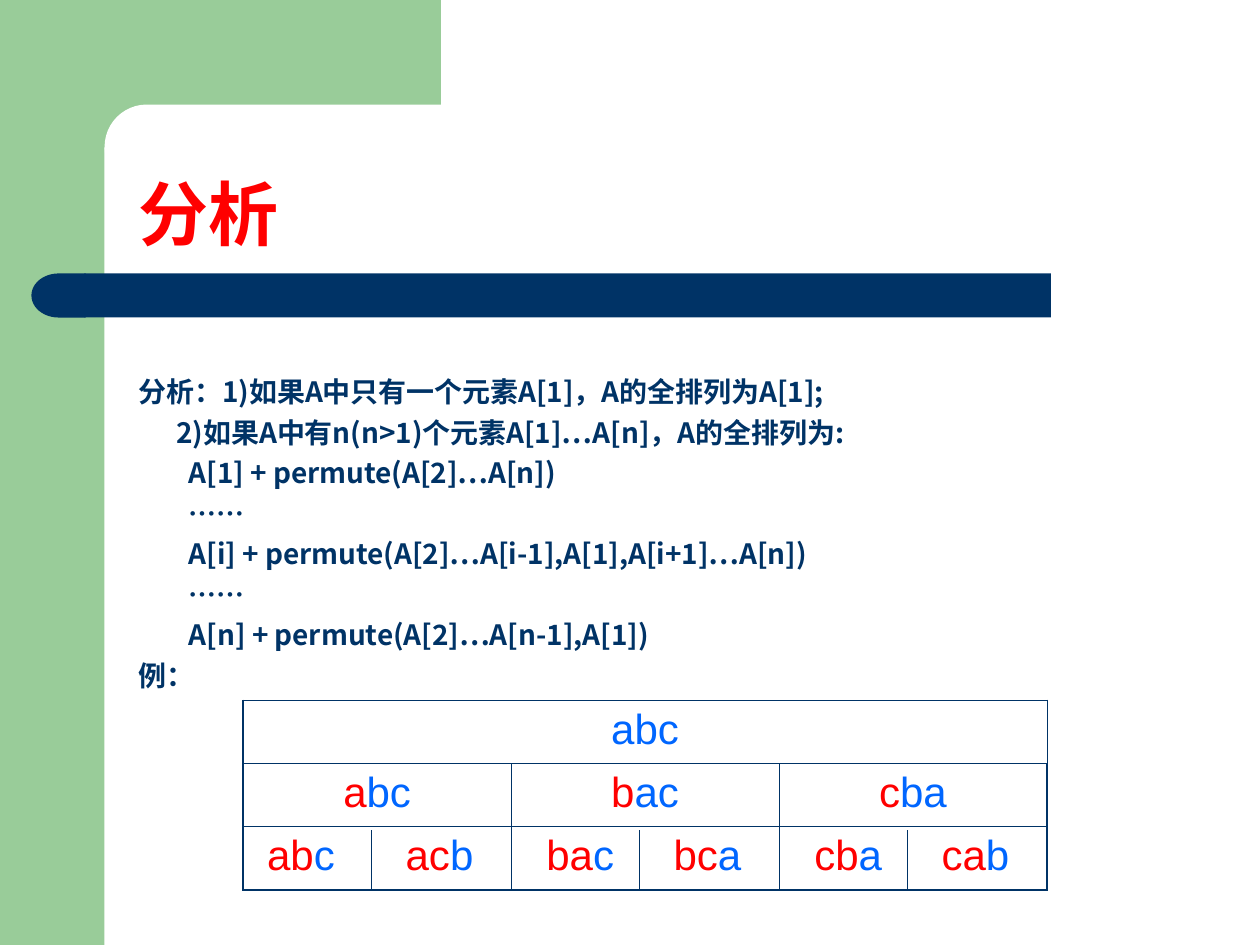
from lxml.etree import SubElement
from pptx import Presentation
from pptx.dml.color import RGBColor
from pptx.enum.shapes import MSO_CONNECTOR, MSO_SHAPE
from pptx.enum.text import MSO_ANCHOR, MSO_AUTO_SIZE, PP_ALIGN
from pptx.oxml.ns import qn
from pptx.util import Inches, Pt

COLORS = {"green": "99CC99", "white": "FFFFFF", "navy": "003366",
          "red": "FF0000", "blue": "0066FF"}
CJK_FONT = "Noto Sans CJK SC"

# Each line of the analysis with its left indent in inches
ANALYSIS = [
    ("分析：1)如果A中只有一个元素A[1]，A的全排列为A[1];", 0),
    ("2)如果A中有n(n>1)个元素A[1]…A[n]，A的全排列为:", 0.3),
    ("A[1] + permute(A[2]…A[n])", 0.4),
    ("……", 0.4),
    ("A[i] + permute(A[2]…A[i-1],A[1],A[i+1]…A[n])", 0.4),
    ("……", 0.4),
    ("A[n] + permute(A[2]…A[n-1],A[1])", 0.4),
    ("例：", 0),
]

# Each permutation is (fixed part, free part)
FIRST_CHOICE = [("a", "bc"), ("b", "ac"), ("c", "ba")]
SECOND_CHOICE = [
    [("ab", "c"), ("ac", "b")],
    [("ba", "c"), ("bc", "a")],
    [("cb", "a"), ("ca", "b")],
]
PAIR_OFFSETS = [0.19, 0.28, 0.28]
SECOND_OFFSET = 1.29


def color(name):
    return RGBColor.from_string(COLORS[name])


def add_block(page, kind, box, fill):
    block = page.shapes.add_shape(kind, *map(Inches, box))
    block.shadow.inherit = False
    block.fill.solid()
    block.fill.fore_color.rgb = color(fill)
    block.line.fill.background()
    return block


def style_span(span, size, font, tint, bold=False):
    span.font.size = Pt(size)
    span.font.name = font
    span.font.bold = bold
    span.font.color.rgb = color(tint)
    if font != "Arial":
        SubElement(span.font._element, qn("a:ea"), typeface=CJK_FONT)


def add_frame(page, box):
    left, top, width, height = box
    add_block(page, MSO_SHAPE.RECTANGLE, (left, top, 0.83, height), "green")
    add_block(page, MSO_SHAPE.RECTANGLE, (left + 0.75, top, 2.75, 1.17), "green")
    panel = add_block(page, MSO_SHAPE.ROUNDED_RECTANGLE,
                      (left + 0.83, top + 0.83, 5.58, 0.67), "white")
    panel.adjustments[0] = 0.5


def add_bar(page, box):
    left, top, width, height = box
    add_block(page, MSO_SHAPE.RECTANGLE,
              (left + 0.42, top, width - 0.42, height), "navy")
    cap = add_block(page, MSO_SHAPE.FLOWCHART_DELAY, (left, top, 0.43, height), "navy")
    cap.element.spPr.xfrm.set("flipH", "1")


def place_title(page, box, text):
    title = page.shapes.title
    title.left, title.top, title.width, title.height = map(Inches, box)
    frame = title.text_frame
    frame.text = text
    frame.auto_size = MSO_AUTO_SIZE.NONE
    frame.vertical_anchor = MSO_ANCHOR.BOTTOM
    para = frame.paragraphs[0]
    para.alignment = PP_ALIGN.LEFT
    para.line_spacing = 0.9
    style_span(para.runs[0], 40, "Montserrat", "red", bold=True)
    # Bring the title in front of the frame
    page.shapes.element.append(title.element)


def add_analysis(page, box):
    frame = page.shapes.add_textbox(*map(Inches, box)).text_frame
    frame.word_wrap = True
    frame.text = "\n".join(text for text, indent in ANALYSIS)
    for para, (text, indent) in zip(frame.paragraphs, ANALYSIS):
        para.line_spacing = Pt(23.15)
        para._p.get_or_add_pPr().set("marL", str(Inches(indent)))
        style_span(para.runs[0], 16, CJK_FONT, "navy", bold=True)


def set_borders(cell, widths):
    properties = cell._tc.get_or_add_tcPr()
    for position, (side, width) in enumerate(widths.items()):
        line = properties.makeelement(qn(f"a:ln{side}"), {"w": str(Pt(width))})
        fill = SubElement(line, qn("a:solidFill"))
        SubElement(fill, qn("a:srgbClr"), val=COLORS["navy"])
        properties.insert(position, line)


def add_permutation(para, fixed, free):
    for text, tint in ((fixed, "red"), (free, "blue")):
        if text:
            span = para.add_run()
            span.text = text
            style_span(span, 24, "Arial", tint)


def add_pair(cell, pair, offset):
    cell.margin_left = Inches(offset)
    para = cell.text_frame.paragraphs[0]
    stops = SubElement(para._p.get_or_add_pPr(), qn("a:tabLst"))
    SubElement(stops, qn("a:tab"), pos=str(Inches(SECOND_OFFSET - offset)), algn="l")
    (first_fixed, first_free), second = pair
    add_permutation(para, first_fixed, first_free + "\t")
    add_permutation(para, *second)


def add_example(page, box):
    left, top, width, height = box
    table = page.shapes.add_table(3, 3, *map(Inches, box)).table
    table.first_row = table.horz_banding = False
    for row in range(3):
        for column in range(3):
            cell = table.cell(row, column)
            cell.fill.background()
            outer = {"L": column == 0, "R": column == 2, "T": row == 0, "B": row == 2}
            set_borders(cell, {side: 1.08 if edge else 0.45
                               for side, edge in outer.items()})
    table.cell(0, 0).merge(table.cell(0, 2))

    # Whole word, then one fixed letter, then two fixed letters
    centred = [(table.cell(0, 0), ("", "abc"))]
    centred += [(table.cell(1, column), word)
                for column, word in enumerate(FIRST_CHOICE)]
    for cell, word in centred:
        para = cell.text_frame.paragraphs[0]
        para.alignment = PP_ALIGN.CENTER
        add_permutation(para, *word)
    for column, pair in enumerate(SECOND_CHOICE):
        add_pair(table.cell(2, column), pair, PAIR_OFFSETS[column])

    # Dividers between the two words of each bottom cell
    for column in range(3):
        x = Inches(left + 1.02 + column * width / 3)
        divider = page.shapes.add_connector(
            MSO_CONNECTOR.STRAIGHT, x, Inches(top + 1.03), x, Inches(top + height))
        divider.line.color.rgb = color("navy")
        divider.line.width = Pt(0.75)
        SubElement(divider.element.spPr, qn("a:effectLst"))


def main():
    deck = Presentation()
    deck.slide_width, deck.slide_height = Inches(10), Inches(7.5)
    page = deck.slides.add_slide(deck.slide_layouts[5])
    add_frame(page, (0, 0, 10, 7.5))
    add_bar(page, (0.25, 2.17, 8.09, 0.35))
    place_title(page, (1, 0.83, 8.75, 1.25), "分析")
    add_analysis(page, (1, 2.87, 7.78, 2.7))
    add_example(page, (1.93, 5.56, 6.38, 1.5))
    deck.save("out.pptx")


if __name__ == "__main__":
    main()
